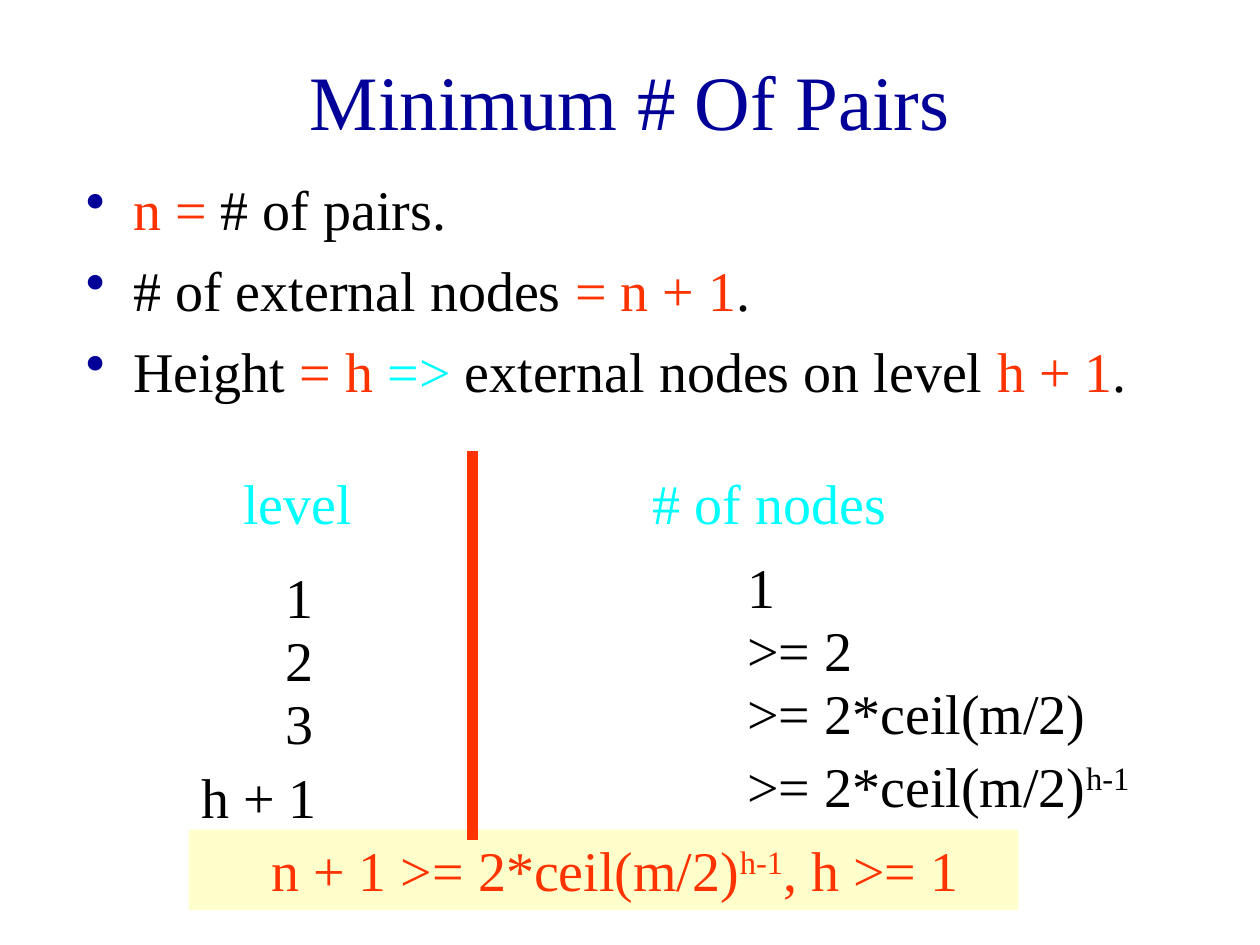
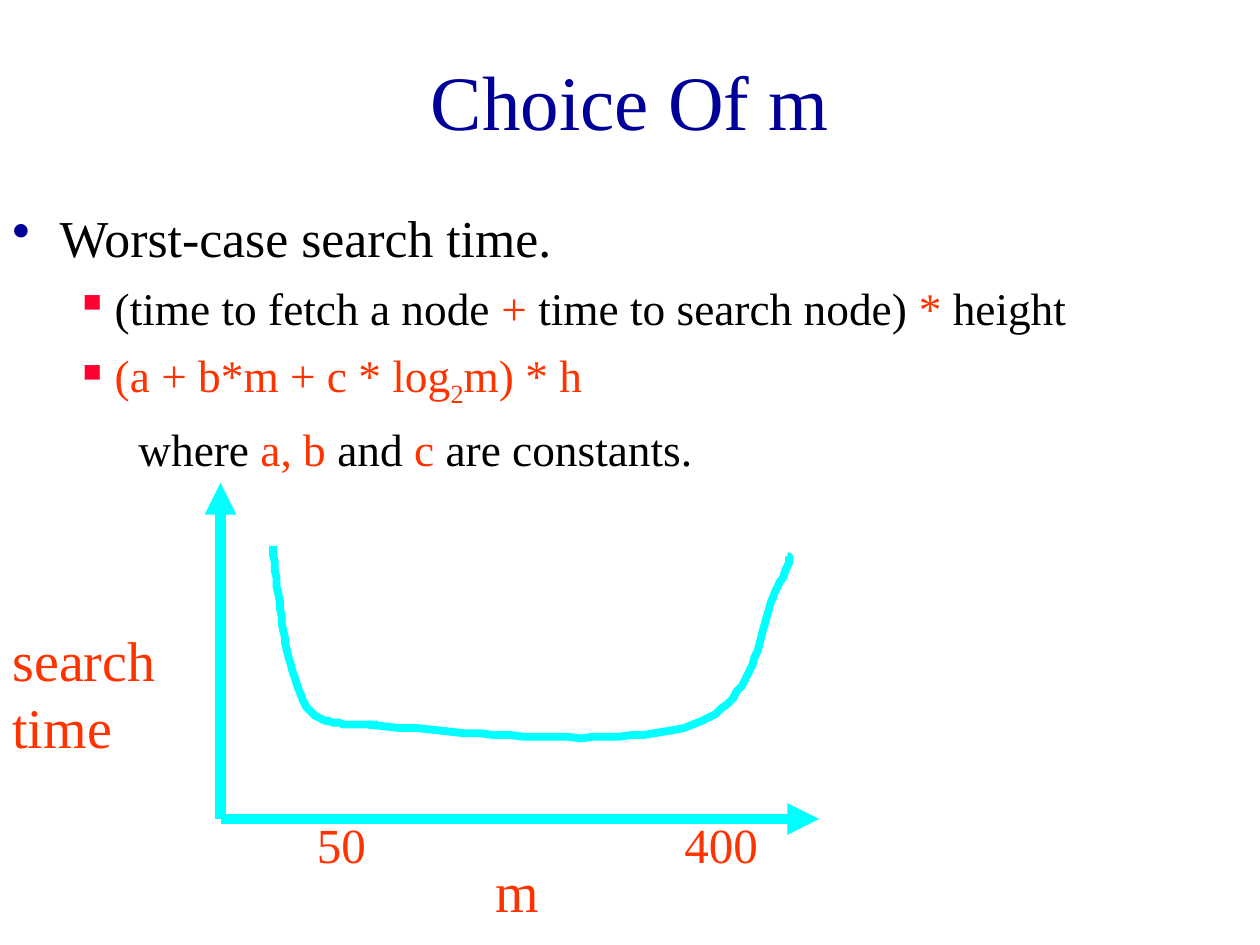
"""Build two slides on search-tree height and the choice of its order m."""
from lxml import etree
from pptx import Presentation
from pptx.dml.color import RGBColor
from pptx.enum.shapes import MSO_CONNECTOR, MSO_SHAPE
from pptx.enum.text import MSO_ANCHOR, PP_ALIGN
from pptx.oxml.ns import qn
from pptx.util import Pt

STRAIGHT = MSO_CONNECTOR.STRAIGHT
RECTANGLE = MSO_SHAPE.RECTANGLE
MIDDLE, TOP = MSO_ANCHOR.MIDDLE, MSO_ANCHOR.TOP
CENTER, LEFT = PP_ALIGN.CENTER, PP_ALIGN.LEFT

FONT = "Times New Roman"
COLORS = {
    "title": "000099",
    "text": "000000",
    "accent": "FF3300",
    "cyan": "00FFFF",
    "square": "FF0033",
    "band": "FFFFCC",
}
TITLE_BOX = (54, 12, 612, 90)
CURVE_STEPS = 24
LEVELS = {
    0: {"indent": 27, "hanging": 27, "before": 8, "bullet": "•", "color": "title"},
    1: {"indent": 58.5, "hanging": 22.5, "before": 7, "bullet": "▪", "color": "square"},
    2: {"indent": 72, "hanging": 0, "before": 7, "bullet": None, "color": None},
}


def rgb(name):
    """Return the named colour."""
    return RGBColor.from_string(COLORS[name])


def set_values(target, values):
    """Set each attribute of the target from a dict."""
    for name, value in values.items():
        setattr(target, name, value)


def add_runs(paragraph, runs, size):
    """Add (text, colour, optional baseline) runs to a paragraph."""
    for text, color, *baseline in runs:
        run = paragraph.add_run()
        run.text = text
        set_values(run.font, {"name": FONT, "size": Pt(size)})
        run.font.color.rgb = rgb(color)
        if baseline:
            run.font._element.set("baseline", str(baseline[0] * 1000))


def set_indent(paragraph, indent, hanging=0):
    """Set the left indent and the hanging first line."""
    properties = paragraph._p.get_or_add_pPr()
    properties.set("marL", str(Pt(indent)))
    properties.set("indent", str(-Pt(hanging)))
    return properties


def add_text(slide, box, runs, size=32, align=LEFT, anchor=TOP):
    """Place a wrapped one-paragraph text box."""
    frame = slide.shapes.add_textbox(*map(Pt, box)).text_frame
    set_values(frame, {"word_wrap": True, "vertical_anchor": anchor})
    frame.paragraphs[0].alignment = align
    add_runs(frame.paragraphs[0], runs, size)


def add_title(slide, text):
    """Place the slide title."""
    add_text(slide, TITLE_BOX, [(text, "title")], 44, CENTER, MIDDLE)


def add_bullets(slide, box, items):
    """Place a bulleted list of (level, size, runs) items."""
    frame = slide.shapes.add_textbox(*map(Pt, box)).text_frame
    frame.word_wrap = True
    for index, (level, size, runs) in enumerate(items):
        style = LEVELS[level]
        paragraph = frame.add_paragraph() if index else frame.paragraphs[0]
        if index:
            paragraph.space_before = Pt(style["before"])
        properties = set_indent(paragraph, style["indent"], style["hanging"])
        if style["bullet"]:
            color = etree.SubElement(properties, qn("a:buClr"))
            etree.SubElement(color, qn("a:srgbClr")).set("val", COLORS[style["color"]])
            etree.SubElement(properties, qn("a:buChar")).set("char", style["bullet"])
        add_runs(paragraph, runs, size)


def add_line(slide, start, end, color, arrow=False):
    """Draw a thick straight line, with an arrowhead if asked."""
    line = slide.shapes.add_connector(STRAIGHT, *map(Pt, (*start, *end)))
    line.line.color.rgb = rgb(color)
    line.line.width = Pt(6)
    if arrow:
        etree.SubElement(line.line._get_or_add_ln(), qn("a:tailEnd")).set("type", "triangle")
    etree.SubElement(line._element.spPr, qn("a:effectLst"))


def bezier_points(start, segments):
    """Return points along a chain of cubic curves."""
    points = [start]
    for first, second, end in segments:
        origin = points[-1]
        for step in range(1, CURVE_STEPS + 1):
            t = step / CURVE_STEPS
            weights = ((1 - t) ** 3, 3 * t * (1 - t) ** 2, 3 * t * t * (1 - t), t ** 3)
            corners = (origin, first, second, end)
            points.append(tuple(
                sum(weight * corner[axis] for weight, corner in zip(weights, corners))
                for axis in (0, 1)))
    return points


def add_curve(slide, left, top, start, segments):
    """Draw an open curve relative to a left top corner."""
    points = [(left + x, top + y) for x, y in bezier_points(start, segments)]
    builder = slide.shapes.build_freeform(*points[0], scale=Pt(1))
    builder.add_line_segments(points[1:], close=False)
    curve = builder.convert_to_shape()
    curve.shadow.inherit = False
    curve.fill.background()
    curve.line.color.rgb = rgb("cyan")
    curve.line.width = Pt(4.5)


def add_level_columns(slide, box):
    """Place the level and node-count columns with their divider."""
    left, top, width, height = box
    minimum = ">= 2*ceil(m/2)"
    rows = [
        (60, 48, "1", [("1", "text")]),
        (96, 48, "2", [(">= 2", "text")]),
        (132, 48, "3", [(minimum, "text")]),
        (174, 0, "h + 1", [(minimum, "text"), ("h-1", "text", 30)]),
    ]
    for offset, indent, level, count in rows:
        add_text(slide, (left + indent, top + offset, 108, 46), [(level, "text")])
        add_text(slide, (left + 312, top + offset - 6, width - 312, 46), count)
    for offset, heading in ((24, "level"), (258, "# of nodes")):
        add_text(slide, (left + offset, top + 6, 162, 46), [(heading, "cyan")])
    add_line(slide, (left + 162, top), (left + 162, top + height), "accent")


def add_result_band(slide, box):
    """Place the highlighted inequality."""
    band = slide.shapes.add_shape(RECTANGLE, *map(Pt, box))
    band.shadow.inherit = False
    band.fill.solid()
    band.fill.fore_color.rgb = rgb("band")
    band.line.fill.background()
    band.text_frame.vertical_anchor = TOP
    paragraph = band.text_frame.paragraphs[0]
    paragraph.alignment = LEFT
    set_indent(paragraph, 40)
    add_runs(paragraph, [
        ("n + 1 >= 2*ceil(m/2)", "accent"),
        ("h-1", "accent", 30),
        (", h >= 1", "accent"),
    ], 32)


def add_search_time_graph(slide, box):
    """Sketch search time against m, with axes meeting at the lower left."""
    left, top, width, height = box
    origin = (left, top + height)
    add_text(slide, (left + 150, top + height + 18, 126, 46), [("m", "accent")])
    for end in ((left, top), (left + width, top + height)):
        add_line(slide, origin, end, "cyan", True)
    add_text(slide, (left - 126, top + 78, 126, 84), [("search time", "accent")])
    add_curve(slide, left, top, (30, 36), [
        ((33.6, 72.7), (38.2, 109.4), (48, 126)),
        ((58.3, 143.1), (82.8, 135.9), (90, 138)),
    ])
    add_curve(slide, left, top, (84, 138), [
        ((157.7, 144.5), (231.1, 151), (270, 138)),
        ((308.9, 125), (308.9, 76.1), (318, 60)),
        ((326.9, 43.7), (325.4, 43), (324, 42)),
    ])
    for offset, label in ((48, "50"), (258, "400")):
        add_text(slide, (left + offset, top + height - 6, 126, 41), [(label, "accent")], 28)


def build_pairs_slide(slide):
    """Fill the slide on the minimum number of pairs."""
    add_title(slide, "Minimum # Of Pairs")
    add_bullets(slide, (42, 96, 612, 138), [
        (0, 32, [("n =", "accent"), (" # of pairs.", "text")]),
        (0, 32, [("# of external nodes ", "text"), ("= n + 1", "accent"), (".", "text")]),
        (0, 32, [("Height ", "text"), ("= h ", "accent"), ("=>", "cyan"),
                 (" external nodes on level ", "text"), ("h + 1", "accent"), (".", "text")]),
    ])
    add_result_band(slide, (108, 474, 474, 46))
    add_level_columns(slide, (108, 258, 582, 222))


def build_choice_slide(slide):
    """Fill the slide on choosing m."""
    add_title(slide, "Choice Of m")
    add_bullets(slide, (0, 114, 678, 168), [
        (0, 29.6, [("Worst-case search time.", "text")]),
        (1, 25.9, [("(time to fetch a node ", "text"), ("+", "accent"),
                   (" time to search node) ", "text"), ("*", "accent"), (" height", "text")]),
        (1, 25.9, [("(a + b*m + c * log", "accent"), ("2", "accent", -25),
                   ("m) * h", "accent")]),
        (2, 25.9, [("where ", "text"), ("a, b ", "accent"), ("and ", "text"),
                   ("c ", "accent"), ("are constants.", "text")]),
    ])
    add_search_time_graph(slide, (126, 276, 342, 192))


def main():
    """Build and save the presentation."""
    presentation = Presentation()
    set_values(presentation, {"slide_width": Pt(720), "slide_height": Pt(540)})
    for build in (build_pairs_slide, build_choice_slide):
        build(presentation.slides.add_slide(presentation.slide_layouts[6]))
    presentation.save("out.pptx")


if __name__ == "__main__":
    main()
